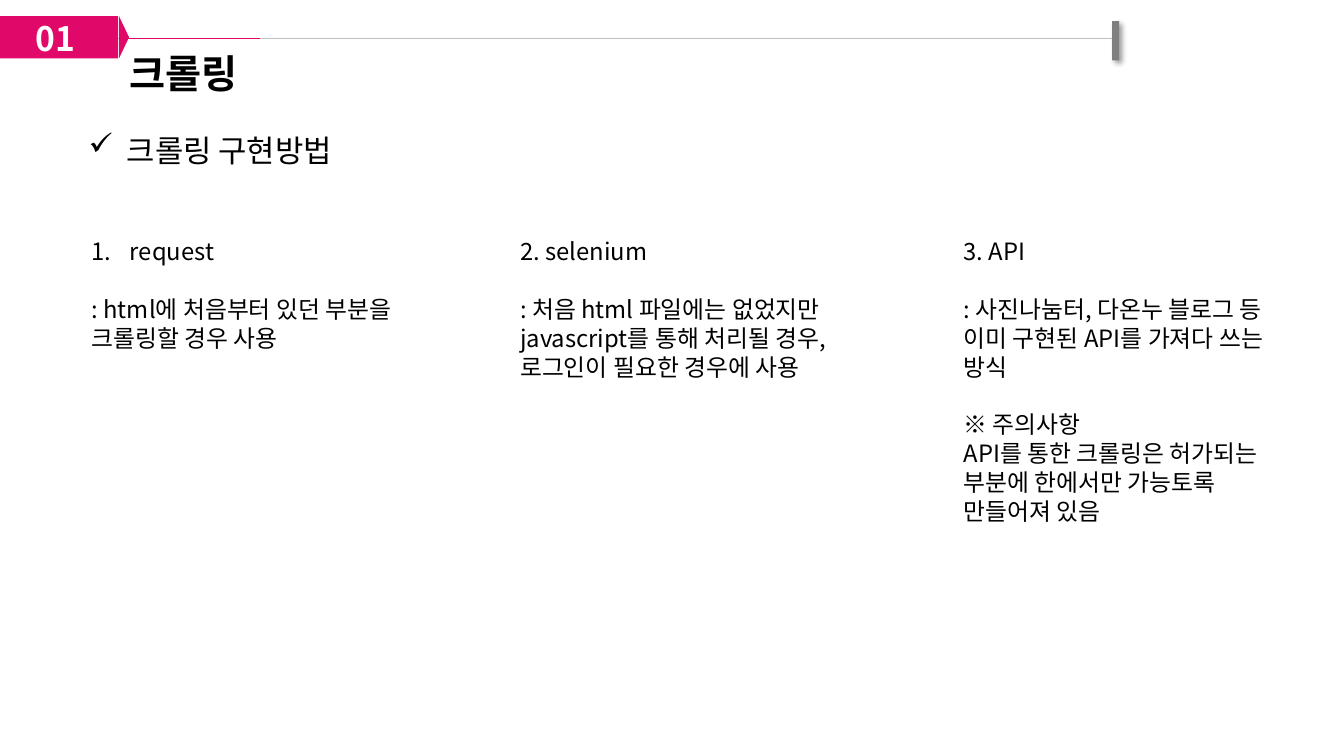
from lxml.etree import SubElement
from pptx import Presentation
from pptx.dml.color import RGBColor
from pptx.enum.shapes import MSO_CONNECTOR, MSO_SHAPE
from pptx.enum.text import MSO_ANCHOR, MSO_AUTO_SIZE, PP_ALIGN
from pptx.oxml.ns import qn
from pptx.util import Inches, Pt

FONT = "Noto Sans CJK KR"
COLORS = {"accent": "E00868", "rule": "BFBFBF", "stop": "7F7F7F",
          "text": "000000", "light": "FFFFFF"}
LINE_HEIGHT = 1.21
HANG = 0.38
BODY = 17
BODY_TOP = 2.3

NUMBER = "01"
TITLE = "크롤링"
HEADING = "크롤링 구현방법"
# Each column: left, width, height, paragraphs; "gap" leaves one line above.
COLUMNS = [
    (0.81, 3.47, 1.25, [
        ("request", "number"),
        (": html에 처음부터 있던 부분을 크롤링할 경우 사용", "gap")]),
    (5.06, 3.61, 1.53, [
        ("2. selenium", ""),
        (": 처음 html 파일에는 없었지만 javascript를 통해 처리될 경우,", "gap"),
        ("로그인이 필요한 경우에 사용", "")]),
    (9.46, 3.43, 2.96, [
        ("3. API", ""),
        (": 사진나눔터, 다온누 블로그 등 이미 구현된 API를 가져다 쓰는 방식", "gap"),
        ("※ 주의사항", "gap"),
        ("API를 통한 크롤링은 허가되는 부분에 한에서만 가능토록 만들어져 있음", "")]),
]
# Header bars: preset, left, top, width, height, rotation, colour
BARS = [
    (MSO_SHAPE.RECTANGLE, -0.02, 0.16, 1.19, 0.42, 0, "accent"),
    (MSO_SHAPE.RECTANGLE, 11.03, 0.21, 0.07, 0.39, 0, "stop"),
    (MSO_SHAPE.ISOSCELES_TRIANGLE, 1.02, 0.32, 0.42, 0.1, 90, "accent"),
]
RULE_Y = 0.38
RULES = [(0.47, 11.04, "rule"), (1.23, 2.58, "accent")]


def rgb(name):
    """Return a palette colour."""
    return RGBColor.from_string(COLORS[name])


def add_rule(slide, x1, x2, color):
    """Draw one horizontal header line."""
    line = slide.shapes.add_connector(
        MSO_CONNECTOR.STRAIGHT, Inches(x1), Inches(RULE_Y), Inches(x2), Inches(RULE_Y))
    line.line.color.rgb = rgb(color)
    line.line.width = Pt(1)
    SubElement(line._element.spPr, qn("a:effectLst"))


def add_bar(slide, preset, x, y, w, h, rotation, color):
    """Draw one filled header shape without an outline."""
    sp = slide.shapes.add_shape(preset, Inches(x), Inches(y), Inches(w), Inches(h))
    sp.rotation = rotation
    sp.shadow.inherit = False
    sp.fill.solid()
    sp.fill.fore_color.rgb = rgb(color)
    sp.line.fill.background()
    return sp


def add_shadow(sp):
    """Give a shape a soft shadow to the lower right."""
    effects = sp._element.spPr.find(qn("a:effectLst"))
    outer = SubElement(effects, qn("a:outerShdw"), blurRad=str(Pt(4)),
                       dist=str(Pt(3)), dir=str(45 * 60000), algn="tl", rotWithShape="0")
    color = SubElement(outer, qn("a:srgbClr"), val=COLORS["text"])
    SubElement(color, qn("a:alpha"), val="40000")


def add_bullet(p, kind):
    """Add a hanging check mark or number to a paragraph."""
    pPr = p._p.get_or_add_pPr()
    pPr.set("marL", str(Inches(HANG)))
    pPr.set("indent", str(-Inches(HANG)))
    if kind == "number":
        SubElement(pPr, qn("a:buFont"), typeface=FONT)
        SubElement(pPr, qn("a:buAutoNum"), type="arabicPeriod")
    else:
        SubElement(pPr, qn("a:buChar"), char="✓")


def write(sp, paragraphs, size, color="text", bold=False, margins=(0.1, 0.05)):
    """Fill a shape with formatted paragraphs."""
    tf = sp.text_frame
    tf.word_wrap = True
    tf.auto_size = MSO_AUTO_SIZE.NONE
    tf.vertical_anchor = MSO_ANCHOR.TOP
    tf.margin_left = tf.margin_right = Inches(margins[0])
    tf.margin_top = tf.margin_bottom = Inches(margins[1])
    for i, (text, kind) in enumerate(paragraphs):
        p = tf.add_paragraph() if i else tf.paragraphs[0]
        p.alignment = PP_ALIGN.LEFT
        p.line_spacing = Pt(size * LINE_HEIGHT)
        p.space_before = Pt(size * LINE_HEIGHT if kind == "gap" else 0)
        if kind in ("number", "check"):
            add_bullet(p, kind)
        r = p.add_run()
        r.text = text
        r.font.size = Pt(size)
        r.font.bold = bold
        r.font.color.rgb = rgb(color)
        r.font.name = FONT
        SubElement(r._r.get_or_add_rPr(), qn("a:ea"), typeface=FONT)


def add_text(slide, x, y, w, h, *args, **kwargs):
    """Add a text box and fill it."""
    box = slide.shapes.add_textbox(Inches(x), Inches(y), Inches(w), Inches(h))
    write(box, *args, **kwargs)


prs = Presentation()
prs.slide_width, prs.slide_height = Inches(13.33), Inches(7.5)
slide = prs.slides.add_slide(prs.slide_layouts[5])

for rule in RULES:
    add_rule(slide, *rule)
number_bar, end_stop, arrow_tip = [add_bar(slide, *bar) for bar in BARS]
add_shadow(end_stop)

title = slide.shapes.title
title.left, title.top = Inches(1.15), Inches(0.42)
title.width, title.height = Inches(2.12), Inches(0.58)
write(title, [(TITLE, "")], 28, bold=True, margins=(0.13, 0.07))

add_text(slide, 0.22, 0.1, 0.87, 0.54, [(NUMBER, "")], 24,
         color="light", bold=True, margins=(0.13, 0.07))
add_text(slide, 0.78, 1.25, 11.13, 0.47, [(HEADING, "check")], 22)
for left, width, height, paragraphs in COLUMNS:
    add_text(slide, left, BODY_TOP, width, height, paragraphs, BODY)

prs.save("out.pptx")
